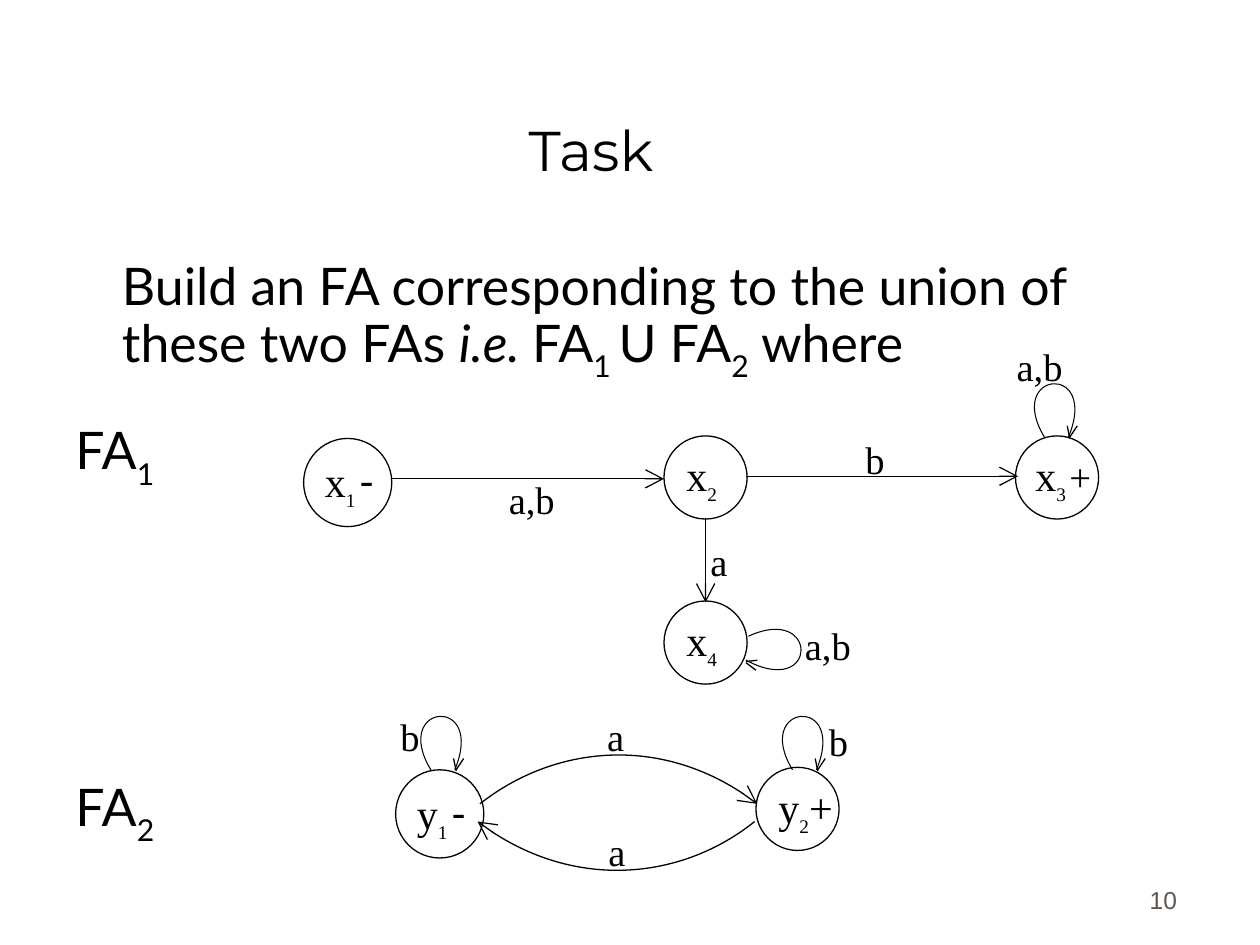
from lxml import etree
from pptx import Presentation
from pptx.dml.color import RGBColor
from pptx.enum.shapes import MSO_CONNECTOR as CONN, MSO_SHAPE as SHAPE
from pptx.enum.text import MSO_ANCHOR as ANCHOR, PP_ALIGN as ALIGN
from pptx.oxml.ns import qn
from pptx.util import Inches, Pt

COLORS = {"ink": "000000", "paper": "FFFFFF", "number": "5E574E"}
SERIF, SANS = "Times New Roman", "Lato"

prs = Presentation()
prs.slide_width, prs.slide_height = Inches(10), Inches(7.5)
s = prs.slides.add_slide(prs.slide_layouts[5])


def write(p, runs):
    """Fill a paragraph with (text, size, font, subscript) runs."""
    for text, size, font, sub in runs:
        r = p.add_run()
        r.text = text
        r.font.size, r.font.name = Pt(size), font
        r.font.color.rgb = RGBColor.from_string(COLORS["ink"])
        if sub:
            r._r.get_or_add_rPr().set("baseline", "-30000")


def stroke(sp, width=0.75, arrow=False):
    """Give a line or outline its ink, and an open arrowhead if asked."""
    sp.line.color.rgb = RGBColor.from_string(COLORS["ink"])
    sp.line.width = Pt(width)
    if arrow:
        etree.SubElement(sp.line._get_or_add_ln(), qn("a:tailEnd"),
                         type="arrow", w="lg", len="lg")
    spPr = sp._element.spPr
    if spPr.find(qn("a:effectLst")) is None:
        etree.SubElement(spPr, qn("a:effectLst"))


# Title
title = s.shapes.title
title.left, title.top, title.width, title.height = map(Inches, (0.44, 0.25, 8.5, 1.25))
title.text_frame.vertical_anchor = ANCHOR.BOTTOM
p = title.text_frame.paragraphs[0]
p.alignment = ALIGN.CENTER
write(p, [("Task", 32, "Montserrat", False)])

# Task statement and the names of the two automata
tf = s.shapes.add_textbox(Inches(0.5), Inches(2.06), Inches(8.94), Inches(4.56)).text_frame
tf.word_wrap = True
body = [
    (0, [("Build an FA corresponding to the union of these two FAs ", False),
         ("i.e. ", False), ("FA", False), ("1 ", True), ("U FA", False),
         ("2", True), (" where", False)]),
    (28, [("FA", False), ("1", True)]),
    (170, [("FA", False), ("2", True)]),
]
for i, (before, runs) in enumerate(body):
    p = tf.add_paragraph() if i else tf.paragraphs[0]
    p.line_spacing, p.space_before = 0.8, Pt(before)
    write(p, [(text, 29.6, SANS, sub) for text, sub in runs])
p = tf.paragraphs[0]
p._p.get_or_add_pPr().set("marL", str(Inches(0.37)))
p.runs[1].font.italic = True

# States: left, top, diameter, text offset, letter, index, sign runs
minus = [(" ", 13, SERIF, True), ("-", 24, SANS, False)]
plus = [(" ", 13, SERIF, True), ("+", 22, SERIF, False)]
states = [
    (2.41, 3.48, 0.7, 0.07, "x", "1", minus),
    (5.27, 3.46, 0.66, 0.08, "x", "2", []),
    (8.06, 3.46, 0.66, 0.06, "x", "3", plus),
    (5.27, 4.77, 0.66, 0.08, "x", "4", []),
    (3.14, 6.11, 0.7, 0.07, "y", "1", minus),
    (6.0, 6.09, 0.66, 0.08, "y", "2", [("+", 24, SERIF, False)]),
]
for x, y, d, dx, letter, index, sign in states:
    circle = s.shapes.add_shape(SHAPE.OVAL, Inches(x), Inches(y), Inches(d), Inches(d))
    circle.shadow.inherit = False
    circle.fill.solid()
    circle.fill.fore_color.rgb = RGBColor.from_string(COLORS["paper"])
    stroke(circle)
    dy = 0.09 if d == 0.7 else 0.06
    tf = s.shapes.add_textbox(Inches(x + dx), Inches(y + dy), Inches(0.8), Inches(0.46)).text_frame
    tf.word_wrap = True
    write(tf.paragraphs[0], [(letter, 24, SERIF, False), (index, 19, SERIF, True)] + sign)

# Straight transitions
for ends in [(3.1, 3.8, 5.27, 3.8), (5.92, 3.78, 8.08, 3.78), (5.6, 4.11, 5.6, 4.78)]:
    stroke(s.shapes.add_connector(CONN.STRAIGHT, *map(Inches, ends)), arrow=True)

# Curved transitions (four Bezier points) and loop heads (two points)
outlines = [
    ([(5.99, 6.52), (5.43, 6.97), (4.52, 7.08), (3.79, 6.52)], 0.75, True),
    ([(3.81, 6.38), (4.38, 5.93), (5.29, 5.82), (6.01, 6.38)], 0.75, True),
    ([(5.94, 5.05), (6.5, 4.79), (6.5, 5.55), (5.92, 5.24)], 0.6, False),
    ([(5.92, 5.26), (6.0, 5.32)], 0.75, False),
    ([(6.01, 5.24), (5.92, 5.25)], 0.75, False),
]
loop_parts = [
    ([(0, 0), (-0.32, -0.53), (0.44, -0.6), (0.19, 0)], 0.6),
    ([(0.2, 0), (0.26, -0.09)], 0.75),
    ([(0.18, -0.09), (0.2, 0.01)], 0.75),
]
for x, y in [(8.29, 3.47), (3.42, 6.11), (6.29, 6.11)]:
    for points, width in loop_parts:
        outlines.append(([(x + dx, y + dy) for dx, dy in points], width, False))

for points, width, arrow in outlines:
    emu = [(Inches(x), Inches(y)) for x, y in points]
    builder = s.shapes.build_freeform(*emu[0])
    builder.add_line_segments(emu[1:], close=False)
    sp = builder.convert_to_shape()
    if len(points) == 4:
        # Turn the three line segments into one cubic curve
        segments = list(sp._element.iter(qn("a:lnTo")))
        curve = etree.SubElement(segments[0].getparent(), qn("a:cubicBezTo"))
        for segment in segments:
            curve.append(segment[0])
            segment.getparent().remove(segment)
    sp.shadow.inherit = False
    sp.fill.background()
    stroke(sp, width, arrow)

# Transition labels
labels = [
    (7.97, 2.67, "a,b"), (6.77, 3.41, "b"), (3.94, 3.73, "a,b"),
    (6.29, 4.89, "a,b"), (5.54, 4.22, "a"), (4.72, 5.61, "a"),
    (4.73, 6.52, "a"), (6.48, 5.65, "b"), (3.08, 5.61, "b"),
]
for x, y, text in labels:
    tf = s.shapes.add_textbox(Inches(x), Inches(y), Inches(1.01), Inches(0.41)).text_frame
    tf.word_wrap = True
    write(tf.paragraphs[0], [(text, 22, SERIF, False)])

# Slide number
tf = s.shapes.add_textbox(Inches(7.36), Inches(6.81), Inches(2.08), Inches(0.5)).text_frame
tf.word_wrap, tf.vertical_anchor = True, ANCHOR.BOTTOM
p = tf.paragraphs[0]
p.alignment = ALIGN.RIGHT
write(p, [("10", 14, "Arial", False)])
p.runs[0].font.color.rgb = RGBColor.from_string(COLORS["number"])

prs.save("out.pptx")
